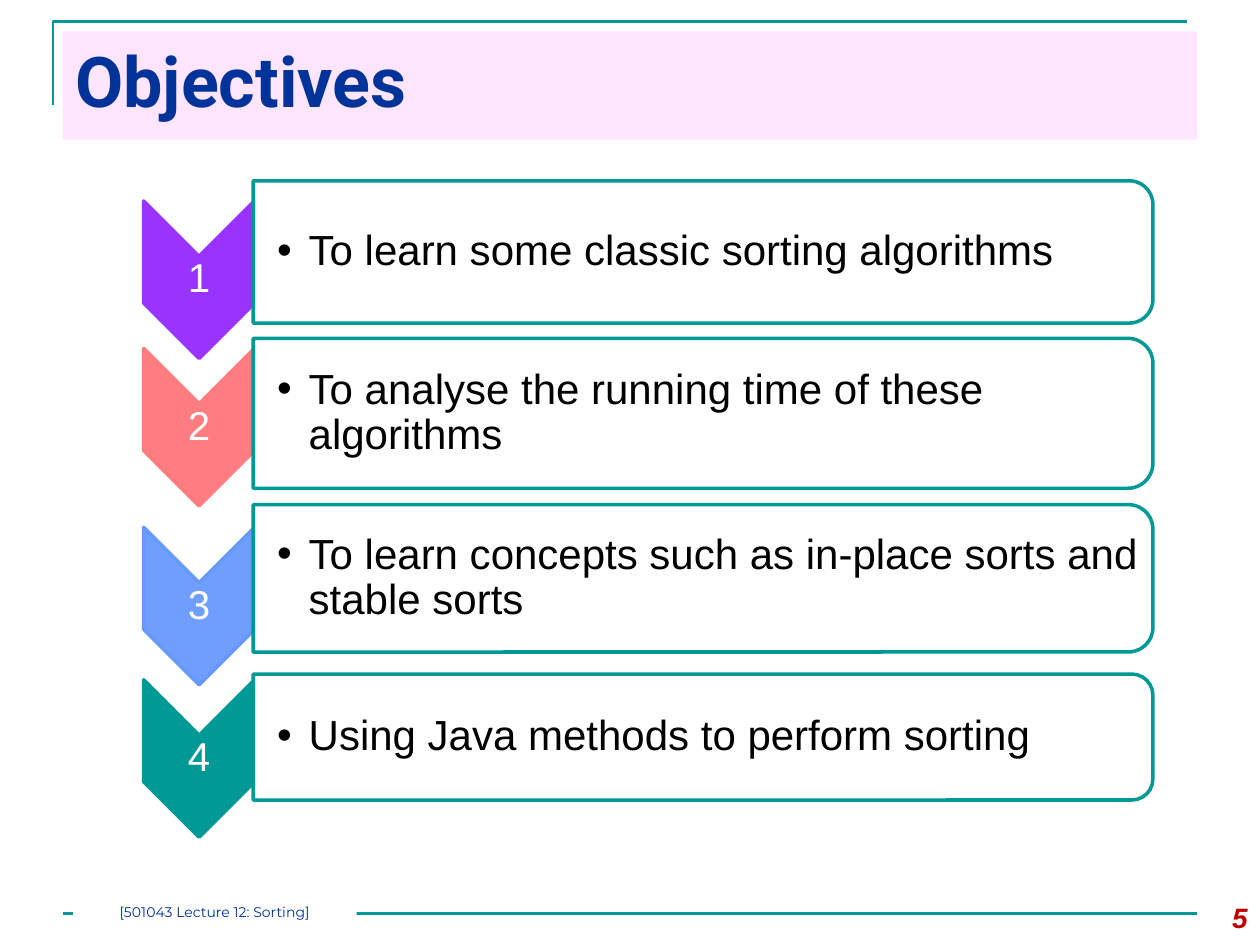
from lxml.etree import SubElement
from pptx import Presentation
from pptx.dml.color import RGBColor
from pptx.enum.shapes import MSO_CONNECTOR, MSO_SHAPE
from pptx.enum.text import MSO_ANCHOR, PP_ALIGN
from pptx.oxml.ns import qn
from pptx.util import Inches, Pt

TEAL = RGBColor(0x00, 0x99, 0x99)
DEEP_TEAL = RGBColor(0x00, 0x99, 0x96)
PINK = RGBColor(0xFF, 0x99, 0xFF)
NAVY = RGBColor(0x00, 0x33, 0x99)
RED = RGBColor(0xC0, 0x00, 0x00)
PURPLE = RGBColor(0x99, 0x33, 0xFF)
CORAL = RGBColor(0xFF, 0x7C, 0x80)
LIGHT_BLUE = RGBColor(0x70, 0x9E, 0xFE)
BLUE = RGBColor(0x66, 0x99, 0xFF)
WHITE = RGBColor(0xFF, 0xFF, 0xFF)
BLACK = RGBColor(0x00, 0x00, 0x00)

TITLE = {"name": "Roboto", "size": Pt(40), "bold": True}
PAGE_NUMBER = {"name": "Arial", "size": Pt(16), "bold": True, "italic": True}
STEP_NUMBER = {"name": "Arial", "size": Pt(23)}
OBJECTIVE = {"name": "Arial", "size": Pt(24)}
FOOTER = {"name": "Montserrat", "size": Pt(8)}

OBJECTIVES = [
    ("To learn some classic sorting algorithms", PURPLE, PURPLE, 2.22, 2.0, 1.13),
    ("To analyse the running time of these algorithms", CORAL, CORAL, 3.39, 3.28, 1.19),
    ("To learn concepts such as in-place sorts and stable sorts",
     LIGHT_BLUE, BLUE, 4.81, 4.59, 1.17),
    ("Using Java methods to perform sorting", DEEP_TEAL, DEEP_TEAL, 6.02, 5.85, 1.0),
]


class SlideBuilder:
    def __init__(self, slide):
        self.slide = slide

    def style_line(self, shape, color, width):
        shape.line.color.rgb = color
        shape.line.width = Pt(width)

    def shape(self, preset, left, top, width, height, fill, line=None, opacity=None):
        shape = self.slide.shapes.add_shape(
            preset, Inches(left), Inches(top), Inches(width), Inches(height))
        shape.shadow.inherit = False
        shape.fill.solid()
        shape.fill.fore_color.rgb = fill
        if opacity is not None:
            color = shape._element.spPr.find(qn("a:solidFill"))[0]
            SubElement(color, qn("a:alpha")).set("val", str(opacity * 1000))
        if line is None:
            shape.line.fill.background()
        else:
            self.style_line(shape, line, 2)
        return shape

    def turned_shape(self, preset, center_x, center_y, width, height, adjustments, **colors):
        shape = self.shape(preset, center_x - width / 2, center_y - height / 2,
                           width, height, **colors)
        shape.rotation = 90
        for index, value in enumerate(adjustments):
            shape.adjustments[index] = value

    def corner(self, left, top, right, bottom):
        builder = self.slide.shapes.build_freeform(Inches(left), Inches(bottom))
        builder.add_line_segments(
            [(Inches(left), Inches(top)), (Inches(right), Inches(top))], close=False)
        shape = builder.convert_to_shape()
        shape.shadow.inherit = False
        shape.fill.background()
        self.style_line(shape, TEAL, 1.5)

    def rule(self, left, right, y):
        connector = self.slide.shapes.add_connector(
            MSO_CONNECTOR.STRAIGHT, Inches(left), Inches(y), Inches(right), Inches(y))
        self.style_line(connector, TEAL, 1.5)
        SubElement(connector._element.spPr, qn("a:effectLst"))

    def fill_text(self, shape, text, font, color, align=PP_ALIGN.LEFT, anchor=MSO_ANCHOR.TOP,
                  margins=(0.1, 0.05, 0.1, 0.05), spacing=None, bullet=False):
        frame = shape.text_frame
        frame.word_wrap = True
        frame.vertical_anchor = anchor
        for side, margin in zip(("left", "top", "right", "bottom"), margins):
            setattr(frame, f"margin_{side}", Inches(margin))
        paragraph = frame.paragraphs[0]
        paragraph.text = text
        paragraph.alignment = align
        if spacing:
            paragraph.line_spacing = spacing
        if bullet:
            properties = paragraph._p.get_or_add_pPr()
            properties.set("marL", str(Inches(0.25)))
            properties.set("indent", str(-Inches(0.25)))
            bullet_color = SubElement(properties, qn("a:buClr"))
            SubElement(bullet_color, qn("a:srgbClr")).set("val", str(color))
            SubElement(properties, qn("a:buFont")).set("typeface", "Arial")
            SubElement(properties, qn("a:buChar")).set("char", "•")
        run_font = paragraph.runs[0].font
        for name, value in font.items():
            setattr(run_font, name, value)
        run_font.color.rgb = color

    def text(self, left, top, width, height, text, font, color, **layout):
        box = self.slide.shapes.add_textbox(
            Inches(left), Inches(top), Inches(width), Inches(height))
        self.fill_text(box, text, font, color, **layout)

    def objective(self, number, text, fill, line, chevron_y, card_y, card_height):
        self.turned_shape(MSO_SHAPE.CHEVRON, 1.58, chevron_y, 1.25, 0.88, [0.5],
                          fill=fill, line=line)
        self.text(1.14, chevron_y - 0.19, 0.88, 0.38, str(number), STEP_NUMBER, WHITE,
                  align=PP_ALIGN.CENTER, anchor=MSO_ANCHOR.MIDDLE,
                  margins=[0.02] * 4, spacing=0.9)
        self.turned_shape(MSO_SHAPE.ROUND_2_SAME_RECTANGLE, 5.58, card_y, card_height, 7.14,
                          [0.167, 0], fill=WHITE, line=DEEP_TEAL, opacity=90)
        text_height = card_height - 0.11
        self.text(2.01, card_y - text_height / 2, 7.08, text_height, text, OBJECTIVE, BLACK,
                  anchor=MSO_ANCHOR.MIDDLE, margins=(0.19, 0.02, 0.02, 0.02),
                  spacing=0.9, bullet=True)


def main():
    presentation = Presentation()
    presentation.slide_width = Inches(10)
    presentation.slide_height = Inches(7.5)
    builder = SlideBuilder(presentation.slides.add_slide(presentation.slide_layouts[6]))

    builder.corner(0.42, 0.17, 9.42, 0.83)
    builder.rule(0.5, 9.5, 7.25)
    title = builder.shape(MSO_SHAPE.RECTANGLE, 0.5, 0.25, 9, 0.86, PINK, opacity=25)
    builder.fill_text(title, "Objectives", TITLE, NAVY)
    builder.text(9.33, 7.1, 0.67, 0.4, "5", PAGE_NUMBER, RED, align=PP_ALIGN.RIGHT)
    for number, objective in enumerate(OBJECTIVES, start=1):
        builder.objective(number, *objective)
    footer = builder.shape(MSO_SHAPE.RECTANGLE, 0.58, 7.17, 2.25, 0.17, WHITE)
    builder.fill_text(footer, "[501043 Lecture 12: Sorting]", FOOTER, NAVY,
                      align=PP_ALIGN.CENTER, margins=[0] * 4)

    presentation.save("out.pptx")


if __name__ == "__main__":
    main()
